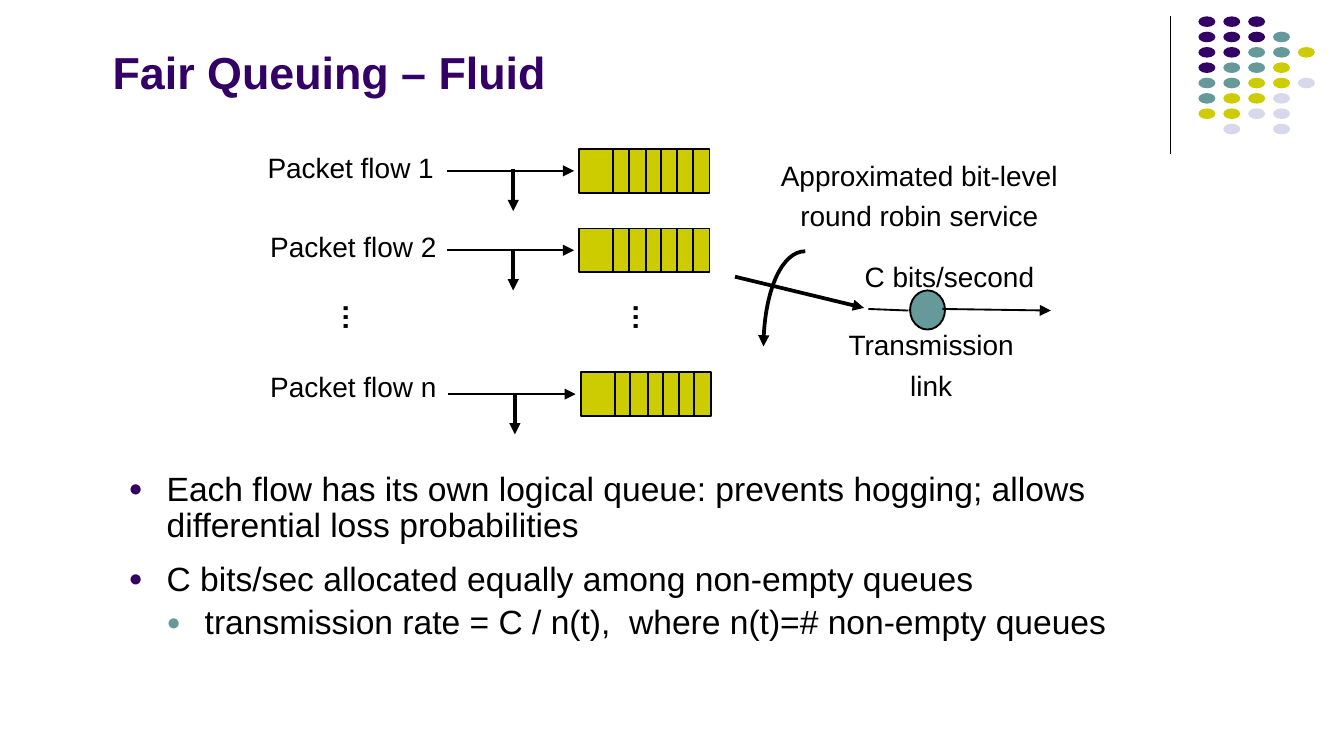
import pptx
import pptx.dml.color
import pptx.enum.shapes
import pptx.enum.text
import pptx.oxml.ns
import pptx.util
from lxml import etree

Cm = pptx.util.Cm
Pt = pptx.util.Pt
qn = pptx.oxml.ns.qn
SHAPES = pptx.enum.shapes.MSO_SHAPE
ALIGN = pptx.enum.text.PP_ALIGN
ANCHOR = pptx.enum.text.MSO_ANCHOR

COLOURS = {
    "purple": "330066",
    "teal": "669999",
    "lime": "CCCC00",
    "lilac": "D8D8EC",
    "black": "000000",
}
DOT_COLOURS = {"P": "purple", "T": "teal", "Y": "lime", "L": "lilac"}
DOT_ROWS = ["PPP", "PPPT", "PPTTY", "PTTY", "TTYYL", "TYYL", "YYLL", " L L"]
SLOT_OFFSETS = [0.64, 0.93, 1.26, 1.55, 1.85, 2.14]
LABEL_FRAME = {
    "margin_left": Cm(0.18),
    "margin_right": Cm(0.18),
    "margin_top": Cm(0.1),
    "margin_bottom": Cm(0.1),
    "word_wrap": False,
}
CENTRED = {"alignment": ALIGN.CENTER}
LABEL_FONT = {"name": "Arial", "size": Pt(15), "bold": False}


def rgb(name):
    return pptx.dml.color.RGBColor.from_string(COLOURS[name])


def apply_format(target, values):
    for name, value in values.items():
        setattr(target, name, value)


def lengths(values):
    return [Cm(value) for value in values]


def add_text(page, box, lines, frame_format, para_format, font_format,
             colour="black", gap=3.5):
    shape = page.shapes.add_textbox(*lengths(box))
    frame = shape.text_frame
    apply_format(frame, frame_format)
    for index, line in enumerate(lines):
        para = frame.add_paragraph() if index else frame.paragraphs[0]
        apply_format(para, para_format)
        if index:
            para.space_before = Pt(gap)
        span = para.add_run()
        span.text = line
        apply_format(span.font, font_format)
        span.font.color.rgb = rgb(colour)
    return shape


def add_label(page, box, *lines):
    return add_text(page, box, lines, LABEL_FRAME, CENTRED, LABEL_FONT)


def add_filled(page, kind, box, colour, outline=None):
    shape = page.shapes.add_shape(kind, *lengths(box))
    shape.shadow.inherit = False
    shape.fill.solid()
    shape.fill.fore_color.rgb = rgb(colour)
    if outline:
        shape.line.color.rgb = rgb("black")
        shape.line.width = Pt(outline)
    else:
        shape.line.fill.background()


def style_line(shape, width, arrow=None):
    shape.line.color.rgb = rgb("black")
    shape.line.width = Pt(width)
    if arrow:
        etree.SubElement(shape.line._get_or_add_ln(), qn(f"a:{arrow}"), type="triangle")


def add_line(page, ends, width=1, arrow=None):
    line = page.shapes.add_connector(
        pptx.enum.shapes.MSO_CONNECTOR.STRAIGHT, *lengths(ends))
    style_line(line, width, arrow)
    etree.SubElement(line._element.spPr, qn("a:effectLst"))


def add_curve(page, box):
    left, top, width, height = box
    points = [(left, top + 0.45 * height), (left + 0.45 * width, top),
              (left + width, top)]
    builder = page.shapes.build_freeform(Cm(left), Cm(top + height))
    builder.add_line_segments([lengths(point) for point in points], close=False)
    curve = builder.convert_to_shape()
    curve.shadow.inherit = False
    curve.fill.background()
    style_line(curve, 2, "headEnd")
    outline = next(curve._element.iter(qn("a:path")))
    bezier = etree.SubElement(outline, qn("a:cubicBezTo"))
    for segment in outline.findall(qn("a:lnTo")):
        bezier.append(segment[0])
        outline.remove(segment)


def draw_ornament(page, box):
    left, top, width, height = box
    add_line(page, (left, top, left, top + height), 0.75)
    for row, pattern in enumerate(DOT_ROWS):
        for column, key in enumerate(pattern):
            if key in DOT_COLOURS:
                dot = (left + 0.53 + 0.47 * column, top + 0.29 * row, 0.32, 0.2)
                add_filled(page, SHAPES.OVAL, dot, DOT_COLOURS[key])


def draw_title(page, box):
    add_text(page, box, ["Fair Queuing – Fluid"],
             {"word_wrap": True, "vertical_anchor": ANCHOR.BOTTOM}, {},
             {"name": "Arial", "size": Pt(24), "bold": True}, "purple")


def draw_flow(page, box, label, label_spot):
    left, top, width, height = box
    add_label(page, (*label_spot, 3.56, 0.84), label)
    add_filled(page, SHAPES.RECTANGLE, box, "lime", 1)
    for offset in SLOT_OFFSETS:
        add_line(page, (left + offset, top, left + offset, top + height))
    add_line(page, (left - 2.51, top + 0.41, left - 0.1, top + 0.41), 1, "tailEnd")
    add_line(page, (left - 1.25, top + 0.38, left - 1.25, top + 1.17), 2, "tailEnd")


def draw_ellipsis(page, box):
    dots = add_text(page, box, ["…"], {"word_wrap": True}, CENTRED,
                    {**LABEL_FONT, "bold": True})
    dots.rotation = 270


def draw_service(page, box):
    left, top, width, height = box

    def place(x, y, *size):
        return (left + x, top + y, *size)

    def link(x1, y1, x2, y2):
        return place(x1, y1) + place(x2, y2)

    add_label(page, place(0, 0, width, 1.6),
              "Approximated bit-level", "round robin service")
    add_label(page, place(2.69, 1.9, 3.63, 0.84), "C bits/second")
    add_label(page, place(2.38, 3.2, 3.56, 1.6), "Transmission", "link")
    add_filled(page, SHAPES.OVAL, place(3.76, 2.59, 0.66, 0.74), "teal", 1)
    add_line(page, link(2.97, 2.94, 3.73, 2.97))
    add_line(page, link(4.37, 2.94, 6.42, 2.97), 1, "tailEnd")
    add_line(page, link(0.45, 2.33, 2.89, 2.92), 2, "tailEnd")
    add_curve(page, place(0.99, 1.85, 0.79, 1.8))


def add_bullet(para, colour, level):
    props = para._p.get_or_add_pPr()
    props.set("marL", str(Cm(0.72 * (level + 1))))
    props.set("indent", str(Cm(-0.72)))
    tint = etree.SubElement(props, qn("a:buClr"))
    etree.SubElement(tint, qn("a:srgbClr"), val=COLOURS[colour])
    etree.SubElement(props, qn("a:buSzPct"), val="70000")
    etree.SubElement(props, qn("a:buFont"), typeface="Arial")
    etree.SubElement(props, qn("a:buChar"), char="●")
    para.level = level


def draw_body(page, box):
    lines = [
        "Each flow has its own logical queue: prevents hogging; allows differential loss probabilities",
        "C bits/sec allocated equally among non-empty queues",
        "transmission rate = C / n(t),  where n(t)=# non-empty queues",
    ]
    body = add_text(page, box, lines, {"word_wrap": True}, {"line_spacing": 0.9},
                    {"name": "Arial", "size": Pt(18)}, gap=4)
    paras = body.text_frame.paragraphs
    paras[1].space_before = Pt(9)
    for para, (colour, level) in zip(paras, [("purple", 0), ("purple", 0), ("teal", 1)]):
        add_bullet(para, colour, level)


def main():
    deck = pptx.Presentation()
    apply_format(deck, {"slide_width": Cm(25.4), "slide_height": Cm(14.29)})
    page = deck.slides.add_slide(deck.slide_layouts[6])
    draw_ornament(page, (22.12, 0.31, 2.72, 2.61))
    draw_body(page, (2.18, 8.81, 20.88, 3.53))
    draw_title(page, (1.88, 0.76, 18.64, 1.22))
    draw_service(page, (13.44, 2.9, 7.87, 4.8))
    flows = [
        ("Packet flow 1", (4.85, 2.74), (10.95, 2.82)),
        ("Packet flow 2", (4.9, 4.24), (10.95, 4.32)),
        ("Packet flow n", (4.9, 6.88), (10.98, 7.04)),
    ]
    for label, label_spot, queue_spot in flows:
        draw_flow(page, (*queue_spot, 2.46, 0.83), label, label_spot)
    for left in (5.49, 10.97):
        draw_ellipsis(page, (left, 5.55, 1.75, 0.89))
    deck.save("out.pptx")


if __name__ == "__main__":
    main()
